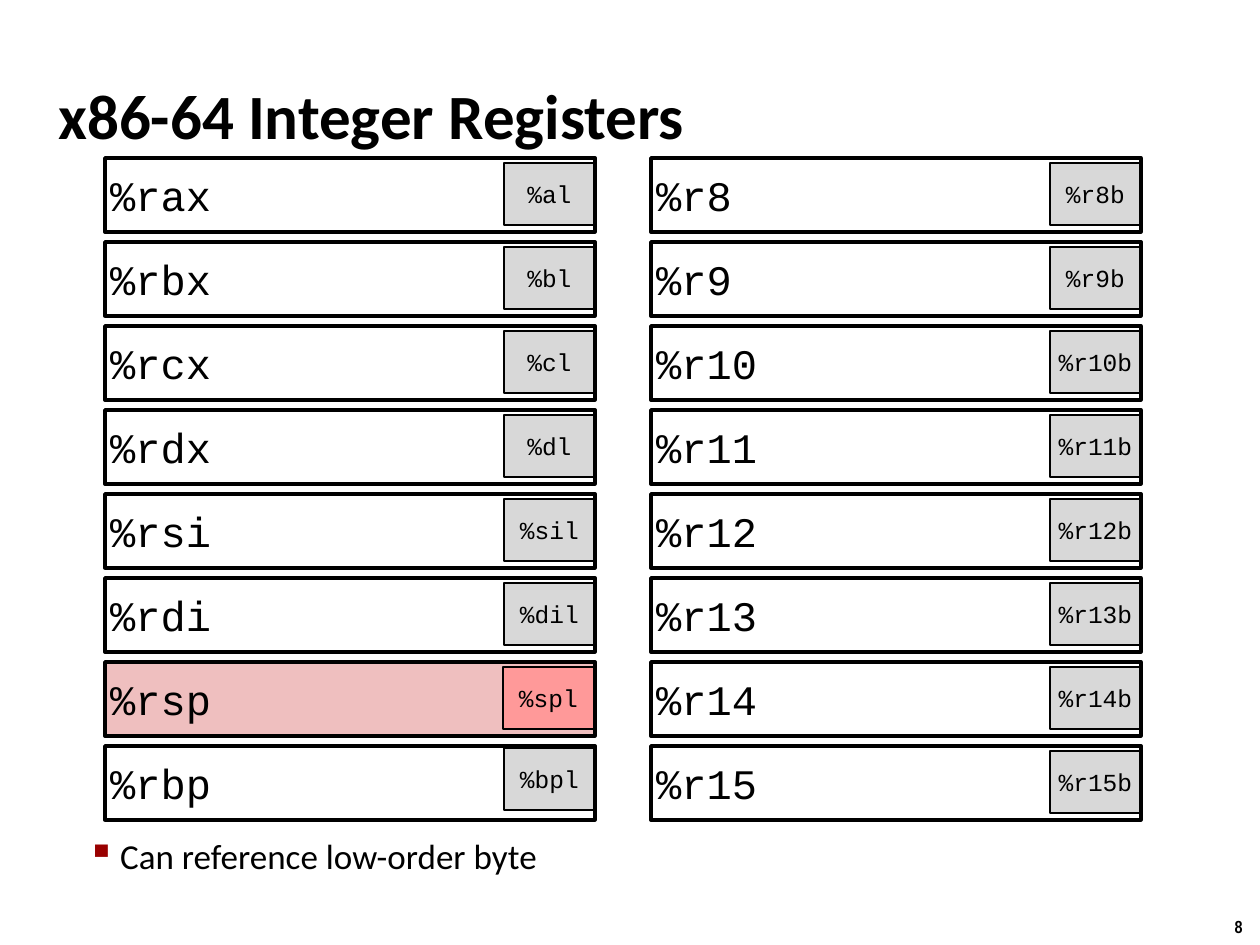
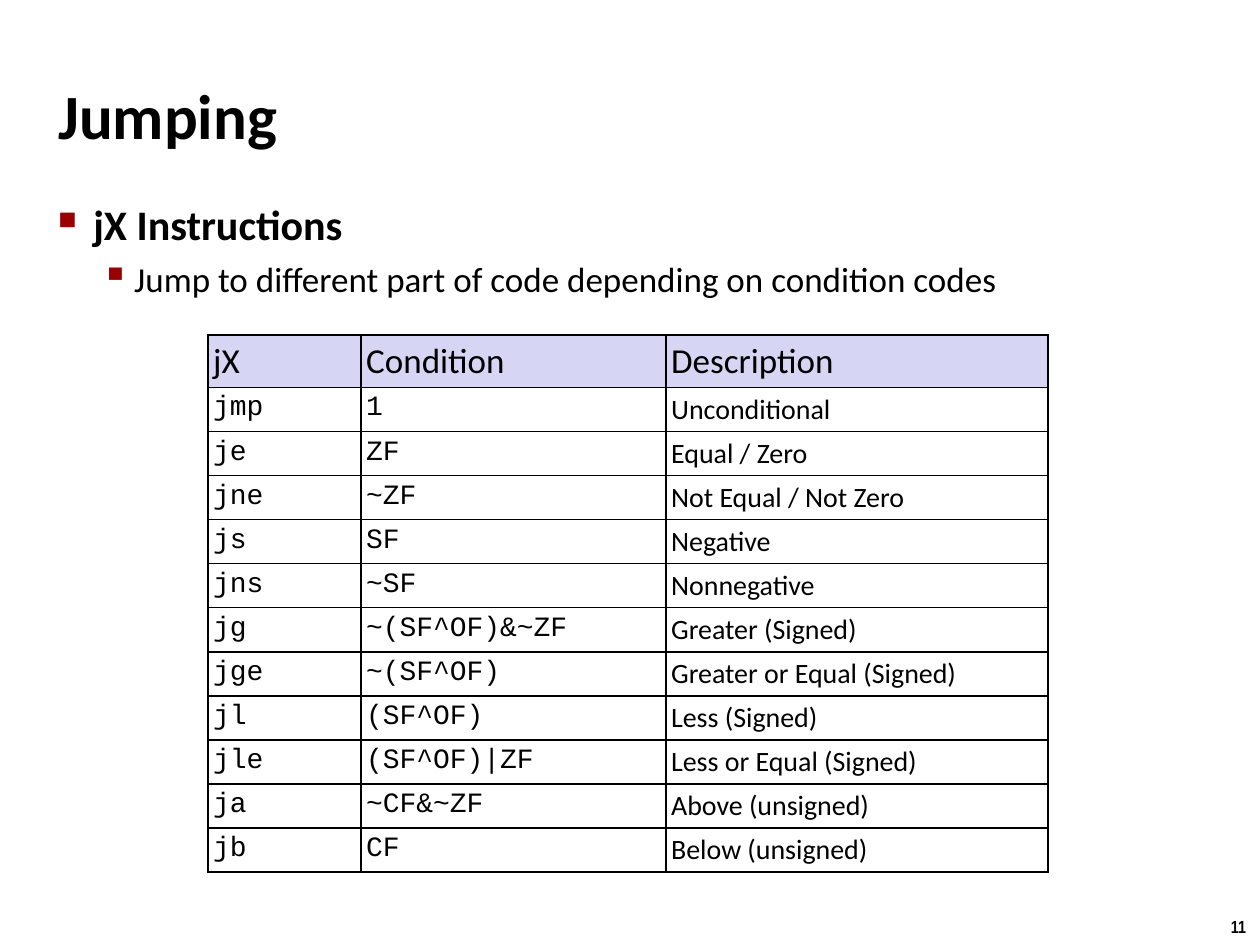
from lxml.etree import SubElement, fromstring
from pptx import Presentation
from pptx.dml.color import RGBColor
from pptx.enum.shapes import MSO_SHAPE
from pptx.enum.text import MSO_ANCHOR, MSO_AUTO_SIZE, PP_ALIGN
from pptx.oxml.ns import nsdecls, qn
from pptx.util import Emu, Pt

BLACK = RGBColor(0x00, 0x00, 0x00)
RED = RGBColor(0x99, 0x00, 0x00)
GREY = RGBColor(0xD8, 0xD8, 0xD8)
PINK = RGBColor(0xEF, 0xBF, 0xBF)
ROSE = RGBColor(0xFF, 0x99, 0x99)
LILAC = RGBColor(0xD6, 0xD6, 0xF4)

SANS, MONO, NARROW = "Calibri", "Courier New", "Arial Narrow"
INSET = Pt(3)

REGS = [
    [("%rax", "%al"), ("%rbx", "%bl"), ("%rcx", "%cl"), ("%rdx", "%dl"),
     ("%rsi", "%sil"), ("%rdi", "%dil"), ("%rsp", "%spl"), ("%rbp", "%bpl")],
    [(f"%r{n}", f"%r{n}b") for n in range(8, 16)],
]
JUMPS = [
    ("jX", "Condition", "Description"),
    ("jmp", "1", "Unconditional"),
    ("je", "ZF", "Equal / Zero"),
    ("jne", "~ZF", "Not Equal / Not Zero"),
    ("js", "SF", "Negative"),
    ("jns", "~SF", "Nonnegative"),
    ("jg", "~(SF^OF)&~ZF", "Greater (Signed)"),
    ("jge", "~(SF^OF)", "Greater or Equal (Signed)"),
    ("jl", "(SF^OF)", "Less (Signed)"),
    ("jle", "(SF^OF)|ZF", "Less or Equal (Signed)"),
    ("ja", "~CF&~ZF", "Above (unsigned)"),
    ("jb", "CF", "Below (unsigned)"),
]


def px(n):
    """Turn pixels into EMU."""
    return Emu(round(n * 914400 / 126))


def style(para, size, face=SANS, bold=False):
    """Set the font of a paragraph."""
    font = para.font
    font.size, font.name, font.bold = Pt(size), face, bold
    font.color.rgb = BLACK


def pad(item):
    """Give a frame or cell the common inset."""
    item.margin_left = item.margin_right = INSET
    item.margin_top = item.margin_bottom = INSET


def add_frame(slide, x, y, w, h):
    """Add a wrapping text box and return its frame."""
    frame = slide.shapes.add_textbox(px(x), px(y), px(w), px(h)).text_frame
    frame.word_wrap = True
    pad(frame)
    return frame


def start_slide(deck, title, number):
    """Add a slide with its page number and title."""
    slide = deck.slides.add_slide(deck.slide_layouts[6])
    page = slide.shapes.add_textbox(px(1217), px(910), px(43), px(34)).text_frame
    page.word_wrap = False
    page.auto_size = MSO_AUTO_SIZE.SHAPE_TO_FIT_TEXT
    page.text = str(number)
    page.paragraphs[0].alignment = PP_ALIGN.CENTER
    style(page.paragraphs[0], 10, NARROW, True)
    head = add_frame(slide, 53, 35, 1155, 158)
    head.vertical_anchor = MSO_ANCHOR.MIDDLE
    head.text = title
    style(head.paragraphs[0], 36, SANS, True)
    return slide


def add_point(para, text, level, left):
    """Fill a paragraph as a bullet of level 0 or 1."""
    hang, gap, mark, scale, size = [(35, 6, "■", 60, 24), (33, 5, "▪", 110, 20)][level]
    para.text, para.level, para.space_before = text, level, Pt(gap)
    props = para._p.get_or_add_pPr()
    props.set("marL", str(px(left)))
    props.set("indent", str(px(-hang)))
    tint = SubElement(props, qn("a:buClr"))
    SubElement(tint, qn("a:srgbClr"), val=str(RED))
    SubElement(props, qn("a:buSzPct"), val=str(scale * 1000))
    SubElement(props, qn("a:buChar"), char=mark)
    style(para, size, SANS, level == 0)


def add_box(slide, x, y, w, h, text, size, fill, line, align):
    """Add an outlined box with monospaced text."""
    box = slide.shapes.add_shape(MSO_SHAPE.RECTANGLE, px(x), px(y), px(w), px(h))
    box.shadow.inherit = False
    if fill:
        box.fill.solid()
        box.fill.fore_color.rgb = fill
    else:
        box.fill.background()
    box.line.color.rgb, box.line.width = BLACK, Pt(line)
    frame = box.text_frame
    frame.vertical_anchor = MSO_ANCHOR.MIDDLE
    pad(frame)
    frame.text = text
    frame.paragraphs[0].alignment = align
    style(frame.paragraphs[0], size, MONO)


def add_reg(slide, x, y, name, low):
    """Add a register with its low-order byte."""
    def whole(fill=None):
        add_box(slide, x, y, 490, 74, name, 24, fill, 2, PP_ALIGN.LEFT)

    def byte(left, top, fill, line):
        add_box(slide, x + left, y + top, 91, 62, low, 14, fill, line, PP_ALIGN.CENTER)

    if name == "%rsp":
        whole(PINK)
        byte(398, 5, ROSE, 1)
    else:
        byte(399, 2 if name == "%rbp" else 5, GREY, 0.75)
        whole()


def set_cell(cell, text, size, face, fill):
    """Fill and frame a table cell."""
    cell.text = text
    pad(cell)
    style(cell.text_frame.paragraphs[0], size, face)
    if fill:
        cell.fill.solid()
        cell.fill.fore_color.rgb = fill
    else:
        cell.fill.background()
    props = cell._tc.get_or_add_tcPr()
    for spot, side in enumerate("LRTB"):
        props.insert(spot, fromstring(
            f'<a:ln{side} {nsdecls("a")} w="{Pt(1)}"><a:solidFill>'
            f'<a:srgbClr val="{BLACK}"/></a:solidFill></a:ln{side}>'))


def add_grid(slide, x, y, widths, rows):
    """Add a table with a tinted head row."""
    heights = [52] + [43] * (len(rows) - 1)
    table = slide.shapes.add_table(len(rows), len(widths), px(x), px(y),
                                   px(sum(widths)), px(sum(heights))).table
    table.first_row = table.horz_banding = False
    for col, width in zip(table.columns, widths):
        col.width = px(width)
    for r, (row, height) in enumerate(zip(rows, heights)):
        table.rows[r].height = px(height)
        for c, text in enumerate(row):
            if r == 0:
                set_cell(table.cell(r, c), text, 20, SANS, LILAC)
            else:
                set_cell(table.cell(r, c), text, 16, SANS if c == 2 else MONO, None)


def main():
    """Build both slides and save them."""
    deck = Presentation()
    deck.slide_width, deck.slide_height = px(1260), px(945)

    slide = start_slide(deck, "x86-64 Integer Registers", 8)
    for c, regs in enumerate(REGS):
        for r, (name, low) in enumerate(regs):
            add_reg(slide, 105 + 546 * c, 158 + 84 * r, name, low)
    note = add_frame(slide, 44, 829, 1011, 116)
    add_point(note.paragraphs[0], "Can reference low-order byte", 1, 71)

    slide = start_slide(deck, "Jumping", 11)
    body = add_frame(slide, 53, 193, 1155, 118)
    add_point(body.paragraphs[0], "jX Instructions", 0, 35)
    add_point(body.add_paragraph(),
              "Jump to different part of code depending on condition codes", 1, 76)
    add_grid(slide, 208, 335, [153, 305, 382], JUMPS)

    deck.save("out.pptx")


if __name__ == "__main__":
    main()
